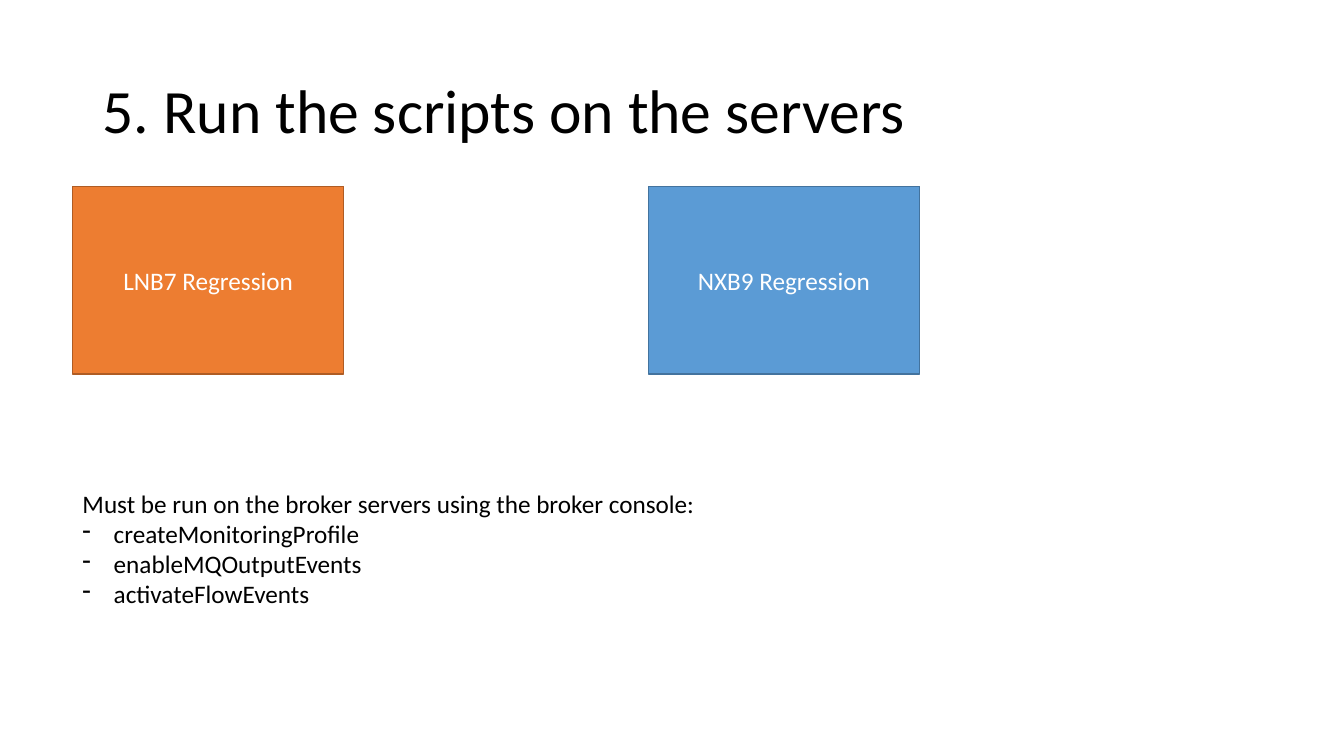
from pptx import Presentation
from pptx.dml.color import RGBColor
from pptx.enum.shapes import MSO_SHAPE
from pptx.enum.text import MSO_ANCHOR, PP_ALIGN
from pptx.oxml.ns import qn
from pptx.util import Inches, Pt
from lxml import etree

PROCESS = MSO_SHAPE.FLOWCHART_PROCESS
MIDDLE, TOP = MSO_ANCHOR.MIDDLE, MSO_ANCHOR.TOP
LEFT, CENTER = PP_ALIGN.LEFT, PP_ALIGN.CENTER
TITLE_ONLY = 5


def color(hex_string):
    return RGBColor.from_string(hex_string)


class SlideBuilder:
    """Places elements on a grid of 100 columns by 100 rows."""

    font_name = "Calibri"
    title_size, body_size = 44, 18
    dark, light = "000000", "FFFFFF"
    bullet_indent = Inches(0.31)

    def __init__(self, presentation):
        self.column = presentation.slide_width / 100
        self.row = presentation.slide_height / 100
        self.slide = presentation.slides.add_slide(presentation.slide_layouts[TITLE_ONLY])

    def area(self, left, top, width, height):
        return (round(left * self.column), round(top * self.row),
                round(width * self.column), round(height * self.row))

    def style(self, paragraph, size, font_color, alignment=LEFT):
        paragraph.alignment = alignment
        paragraph.font.name = self.font_name
        paragraph.font.size = Pt(size)
        paragraph.font.color.rgb = color(font_color)

    def title(self, text, *grid_area):
        shape = self.slide.shapes.title
        shape.left, shape.top, shape.width, shape.height = self.area(*grid_area)
        frame = shape.text_frame
        frame.text = text
        frame.vertical_anchor = MIDDLE
        self.style(frame.paragraphs[0], self.title_size, self.dark)
        frame.paragraphs[0].line_spacing = 0.9

    def process(self, text, fill, line, *grid_area):
        shape = self.slide.shapes.add_shape(PROCESS, *self.area(*grid_area))
        shape.shadow.inherit = False
        shape.fill.solid()
        shape.fill.fore_color.rgb = color(fill)
        shape.line.color.rgb = color(line)
        shape.line.width = Pt(1)
        frame = shape.text_frame
        frame.text = text
        frame.vertical_anchor = MIDDLE
        self.style(frame.paragraphs[0], self.body_size, self.light, CENTER)

    def bulleted_text(self, heading, items, *grid_area):
        frame = self.slide.shapes.add_textbox(*self.area(*grid_area)).text_frame
        frame.word_wrap = True
        frame.vertical_anchor = TOP
        frame.text = "\n".join([heading, *items])
        for paragraph in frame.paragraphs:
            self.style(paragraph, self.body_size, self.dark)
        for paragraph in frame.paragraphs[1:]:
            self.bullet(paragraph)

    def bullet(self, paragraph):
        properties = paragraph._p.get_or_add_pPr()
        properties.set("marL", str(self.bullet_indent))
        properties.set("indent", str(-self.bullet_indent))
        character = etree.Element(qn("a:buChar"), char="-")
        properties.find(qn("a:defRPr")).addprevious(character)


def main():
    presentation = Presentation()
    presentation.slide_width, presentation.slide_height = Inches(13.33), Inches(7.5)
    builder = SlideBuilder(presentation)

    # Heading
    builder.title("5. Run the scripts on the servers", 6.9, 5.33, 86.27, 19.33)

    # Regression servers
    servers = [("LNB7 Regression", "ED7D31", "AF5C24", 5.4),
               ("NXB9 Regression", "5B9BD5", "43739E", 48.24)]
    for name, fill, line, left in servers:
        builder.process(name, fill, line, left, 24.67, 20.18, 24.8)

    # Scripts to run
    builder.bulleted_text(
        "Must be run on the broker servers using the broker console:",
        ["createMonitoringProfile", "enableMQOutputEvents", "activateFlowEvents"],
        5.4, 63.87, 54.69, 29.6)

    presentation.save("out.pptx")


if __name__ == "__main__":
    main()
